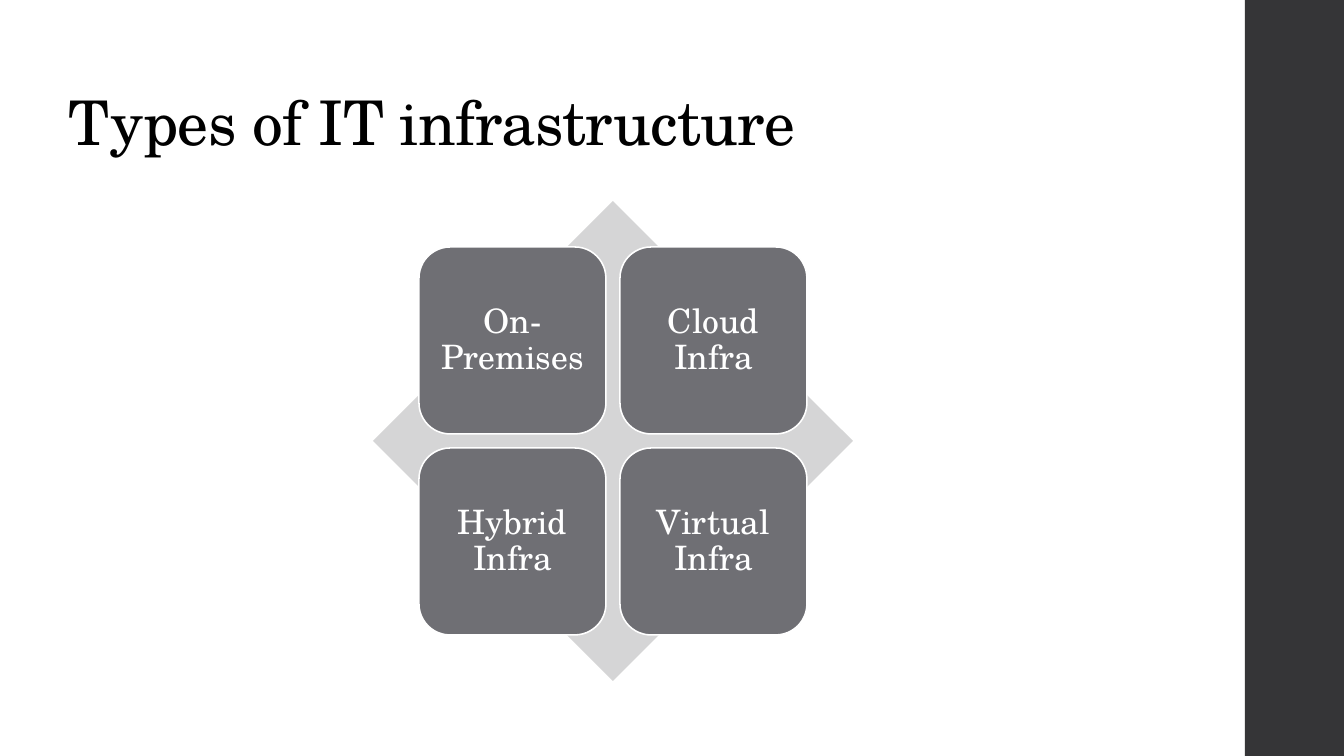
import pptx
import pptx.dml.color
import pptx.enum.shapes
import pptx.enum.text
import pptx.util
from dataclasses import dataclass

TITLE = "Types of IT infrastructure"
TYPES = [
    ["On-Premises", "Cloud Infra"],
    ["Hybrid Infra", "Virtual Infra"],
]


@dataclass(frozen=True)
class Theme:
    font: str = "TeX Gyre Schola"
    title_size: int = 44
    tile_size: int = 24
    outline_width: float = 1.1
    line_spacing: float = 0.9
    black: str = "000000"
    white: str = "FFFFFF"
    sidebar: str = "353537"
    diamond: str = "D5D5D6"
    tile: str = "6F6F74"


THEME = Theme()
PX_PER_INCH = 100.8
SLIDE_WIDTH, SLIDE_HEIGHT = 1344, 756
SIDEBAR_LEFT, SIDEBAR_WIDTH = 1245, 99
TITLE_BOX = (59, 40, 1148, 124)
CENTER_X, CENTER_Y = 613, 441
DIAMOND_SIZE = 480
TILE_SIZE, TILE_GAP = 187, 14

SHAPES = pptx.enum.shapes.MSO_SHAPE
ANCHORS = pptx.enum.text.MSO_ANCHOR


def px(length):
    return pptx.util.Emu(round(length * 914400 / PX_PER_INCH))


def color(value):
    return pptx.dml.color.RGBColor.from_string(value)


def add_filled_shape(slide, kind, box, fill):
    shape = slide.shapes.add_shape(kind, *map(px, box))
    shape.shadow.inherit = False
    shape.fill.solid()
    shape.fill.fore_color.rgb = color(fill)
    shape.line.fill.background()
    return shape


def write_text(shape, text, size, text_color, anchor, alignment):
    frame = shape.text_frame
    frame.word_wrap = True
    frame.vertical_anchor = anchor
    frame.margin_left = frame.margin_right = px(10)
    frame.margin_top = frame.margin_bottom = px(10)
    paragraph = frame.paragraphs[0]
    paragraph.text = text
    paragraph.alignment = alignment
    paragraph.line_spacing = THEME.line_spacing
    paragraph.font.name = THEME.font
    paragraph.font.size = pptx.util.Pt(size)
    paragraph.font.color.rgb = color(text_color)
    return paragraph


def add_title(slide):
    box = slide.shapes.add_textbox(*map(px, TITLE_BOX))
    paragraph = write_text(box, TITLE, THEME.title_size, THEME.black,
                           ANCHORS.BOTTOM, pptx.enum.text.PP_ALIGN.LEFT)
    box.text_frame.margin_top = box.text_frame.margin_bottom = px(5)
    # Letter spacing, in hundredths of a point
    paragraph.runs[0]._r.get_or_add_rPr().set("spc", "-50")


def add_matrix(slide):
    """Draw the diamond with the grid of tiles centred on it."""
    half = DIAMOND_SIZE // 2
    add_filled_shape(slide, SHAPES.DIAMOND,
                     (CENTER_X - half, CENTER_Y - half, DIAMOND_SIZE, DIAMOND_SIZE),
                     THEME.diamond)
    pitch = TILE_SIZE + TILE_GAP
    left = CENTER_X - TILE_GAP // 2 - TILE_SIZE
    top = CENTER_Y - TILE_GAP // 2 - TILE_SIZE
    for row, labels in enumerate(TYPES):
        for column, label in enumerate(labels):
            box = (left + column * pitch, top + row * pitch, TILE_SIZE, TILE_SIZE)
            tile = add_filled_shape(slide, SHAPES.ROUNDED_RECTANGLE, box, THEME.tile)
            tile.line.color.rgb = color(THEME.white)
            tile.line.width = pptx.util.Pt(THEME.outline_width)
            write_text(tile, label, THEME.tile_size, THEME.white,
                       ANCHORS.MIDDLE, pptx.enum.text.PP_ALIGN.CENTER)


def main():
    presentation = pptx.Presentation()
    presentation.slide_width = px(SLIDE_WIDTH)
    presentation.slide_height = px(SLIDE_HEIGHT)
    slide = presentation.slides.add_slide(presentation.slide_layouts[6])
    add_filled_shape(slide, SHAPES.RECTANGLE,
                     (SIDEBAR_LEFT, 0, SIDEBAR_WIDTH, SLIDE_HEIGHT), THEME.sidebar)
    add_title(slide)
    add_matrix(slide)
    presentation.save("out.pptx")


if __name__ == "__main__":
    main()
